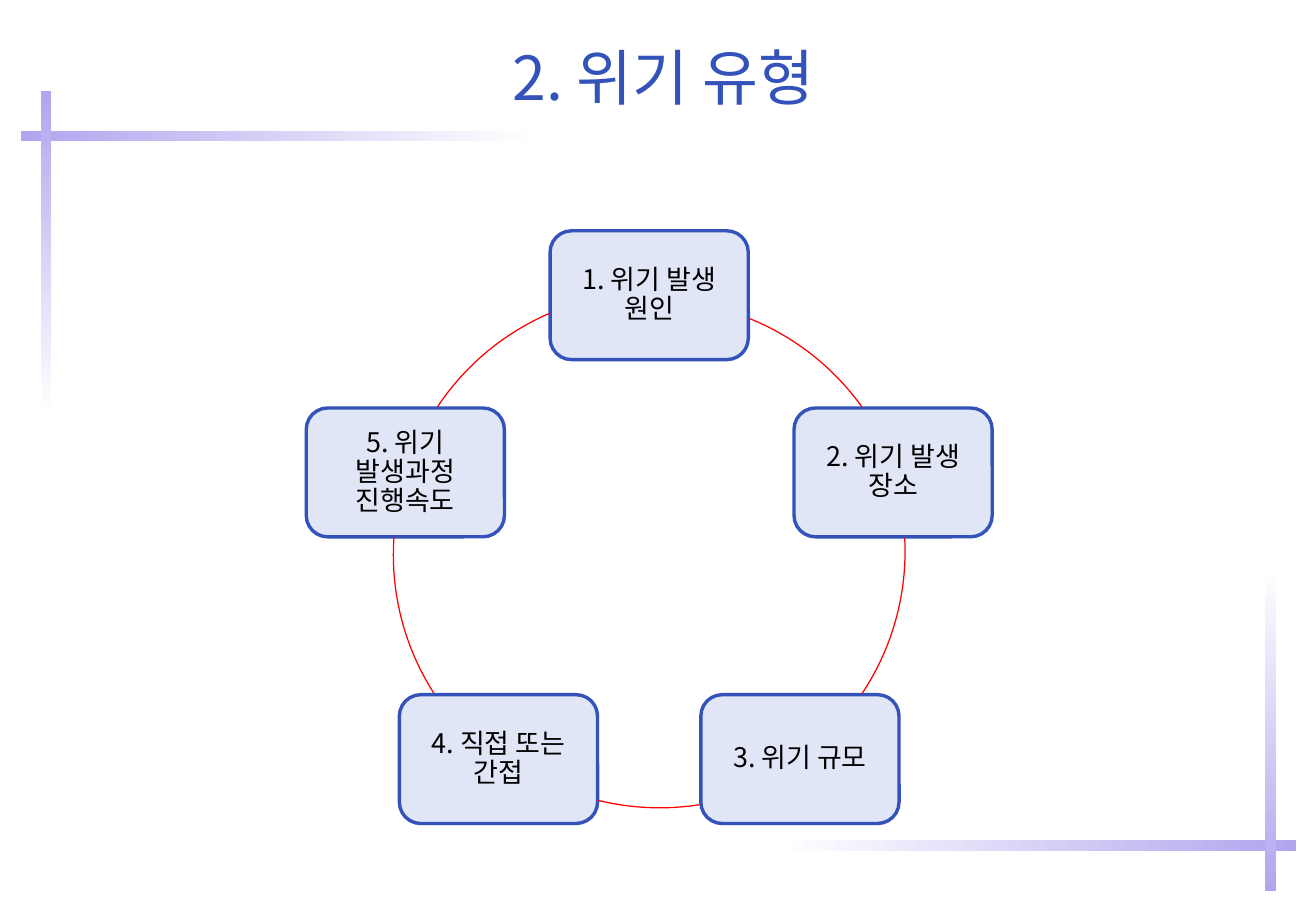
import math

import pptx
import pptx.dml.color
import pptx.enum.shapes
import pptx.enum.text
import pptx.util
from lxml import etree
from pptx.oxml.ns import qn

Pt = pptx.util.Pt
SHAPES = pptx.enum.shapes.MSO_SHAPE

# Content
TITLE = "2. 위기 유형"
CRISIS_TYPES = [
    "1. 위기 발생 원인",
    "2. 위기 발생 장소",
    "3. 위기 규모",
    "4. 직접 또는 간접",
    "5. 위기 발생과정 진행속도",
]
FONT = "Noto Sans CJK KR"
COLORS = {
    "blue": "3353BA",
    "box": "E1E6F7",
    "text": "000000",
    "arc": "FF0000",
    "bar": "AFA6EE",
    "white": "FFFFFF",
}

# Decorative bars: left, top, width, height, first colour, last colour
BARS = [
    (12.2, 77.8, 306, 6, "bar", "white"),
    (24.4, 53.8, 6, 192, "bar", "white"),
    (462.2, 498.2, 306, 6, "white", "bar"),
    (750.1, 336.2, 6, 192, "white", "bar"),
]

# Ring of boxes, and the arcs between them: centre x, centre y, start and end angle
RING_X, RING_Y, RADIUS = 384.8, 327, 152
BOX_WIDTH, BOX_HEIGHT = 117.5, 76.4
ARCS = [
    (387.4, 329.8, 292, 324.4),
    (384.5, 326.9, 357, 33.6),
    (391, 326.9, 81, 104),
    (385.2, 329, 147.4, 183.8),
    (385.9, 325.4, 213.6, 246.6),
]


def color(name):
    return pptx.dml.color.RGBColor.from_string(COLORS[name])


def add_shape(kind, left, top, width, height):
    shape = slide.shapes.add_shape(kind, Pt(left), Pt(top), Pt(width), Pt(height))
    shape.shadow.inherit = False
    return shape


def write_text(shape, text, size, color_name, margin):
    frame = shape.text_frame
    frame.word_wrap = True
    frame.vertical_anchor = pptx.enum.text.MSO_ANCHOR.MIDDLE
    frame.margin_left = frame.margin_right = Pt(margin)
    frame.margin_top = frame.margin_bottom = Pt(margin)
    paragraph = frame.paragraphs[0]
    paragraph.alignment = pptx.enum.text.PP_ALIGN.CENTER
    run = paragraph.add_run()
    run.text = text
    run.font.size = Pt(size)
    run.font.name = FONT
    run.font.color.rgb = color(color_name)
    # Hangul takes the East Asian font
    etree.SubElement(run.font._element, qn("a:ea"), typeface=FONT)
    return paragraph


presentation = pptx.Presentation()
presentation.slide_width, presentation.slide_height = Pt(780), Pt(540)
slide = presentation.slides.add_slide(presentation.slide_layouts[6])

# Fading bars
for left, top, width, height, first, last in BARS:
    bar = add_shape(SHAPES.RECTANGLE, left, top, width, height)
    bar.line.fill.background()
    bar.fill.gradient()
    bar.fill.gradient_angle = 0 if width > height else 270
    for stop, name in zip(bar.fill.gradient_stops, (first, last)):
        stop.color.rgb = color(name)

# Title
title = slide.shapes.add_textbox(Pt(32.4), Pt(18), Pt(721.4), Pt(54))
write_text(title, TITLE, 36, "blue", 4)

# Boxes, clockwise from the top
for index, crisis_type in enumerate(CRISIS_TYPES):
    angle = math.radians(360 / len(CRISIS_TYPES) * index - 90)
    box = add_shape(
        SHAPES.ROUNDED_RECTANGLE,
        RING_X + RADIUS * math.cos(angle) - BOX_WIDTH / 2,
        RING_Y + RADIUS * math.sin(angle) - BOX_HEIGHT / 2,
        BOX_WIDTH,
        BOX_HEIGHT,
    )
    box.fill.solid()
    box.fill.fore_color.rgb = color("box")
    box.line.color.rgb = color("blue")
    box.line.width = Pt(2)
    paragraph = write_text(box, crisis_type, 16, "text", 1.4)
    paragraph.line_spacing = 0.9
    paragraph.space_after = Pt(5.6)

# Arcs joining neighbouring boxes
for center_x, center_y, start, end in ARCS:
    arc = add_shape(
        SHAPES.ARC, center_x - RADIUS, center_y - RADIUS, 2 * RADIUS, 2 * RADIUS
    )
    arc.fill.background()
    arc.line.color.rgb = color("arc")
    arc.line.width = Pt(0.75)
    # An adjustment of 0.6 is one degree
    arc.adjustments[0] = start * 0.6
    arc.adjustments[1] = end * 0.6

presentation.save("out.pptx")
